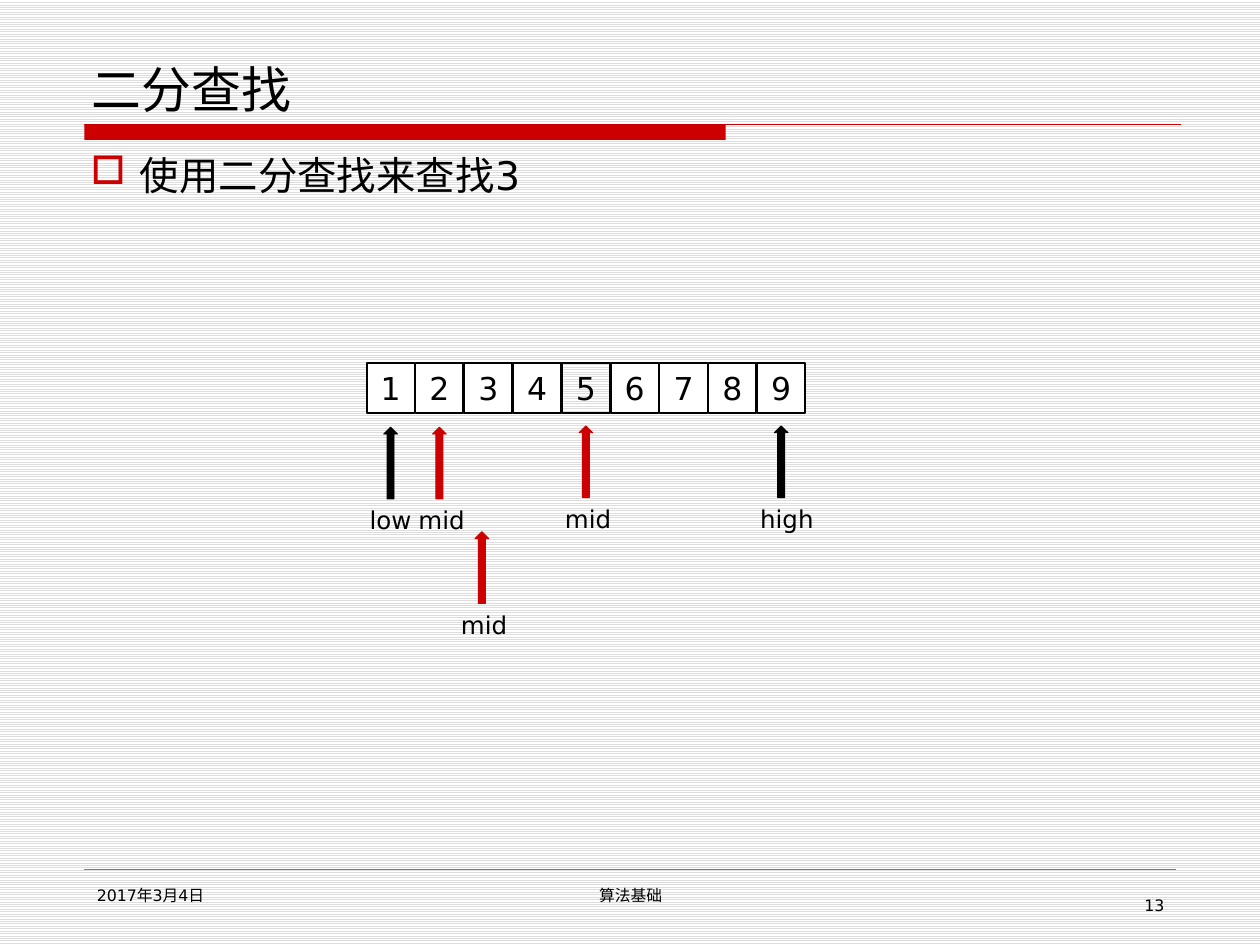
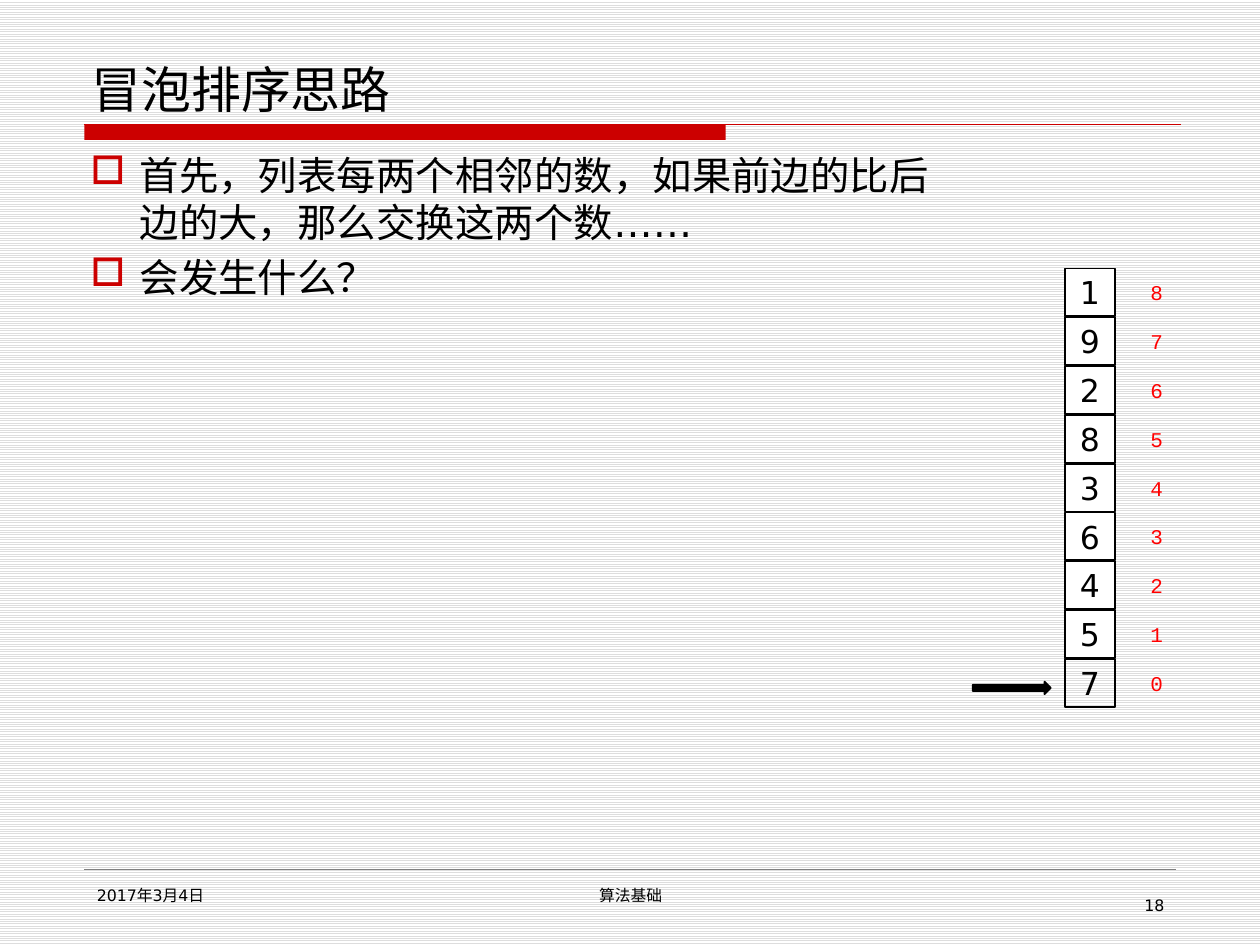
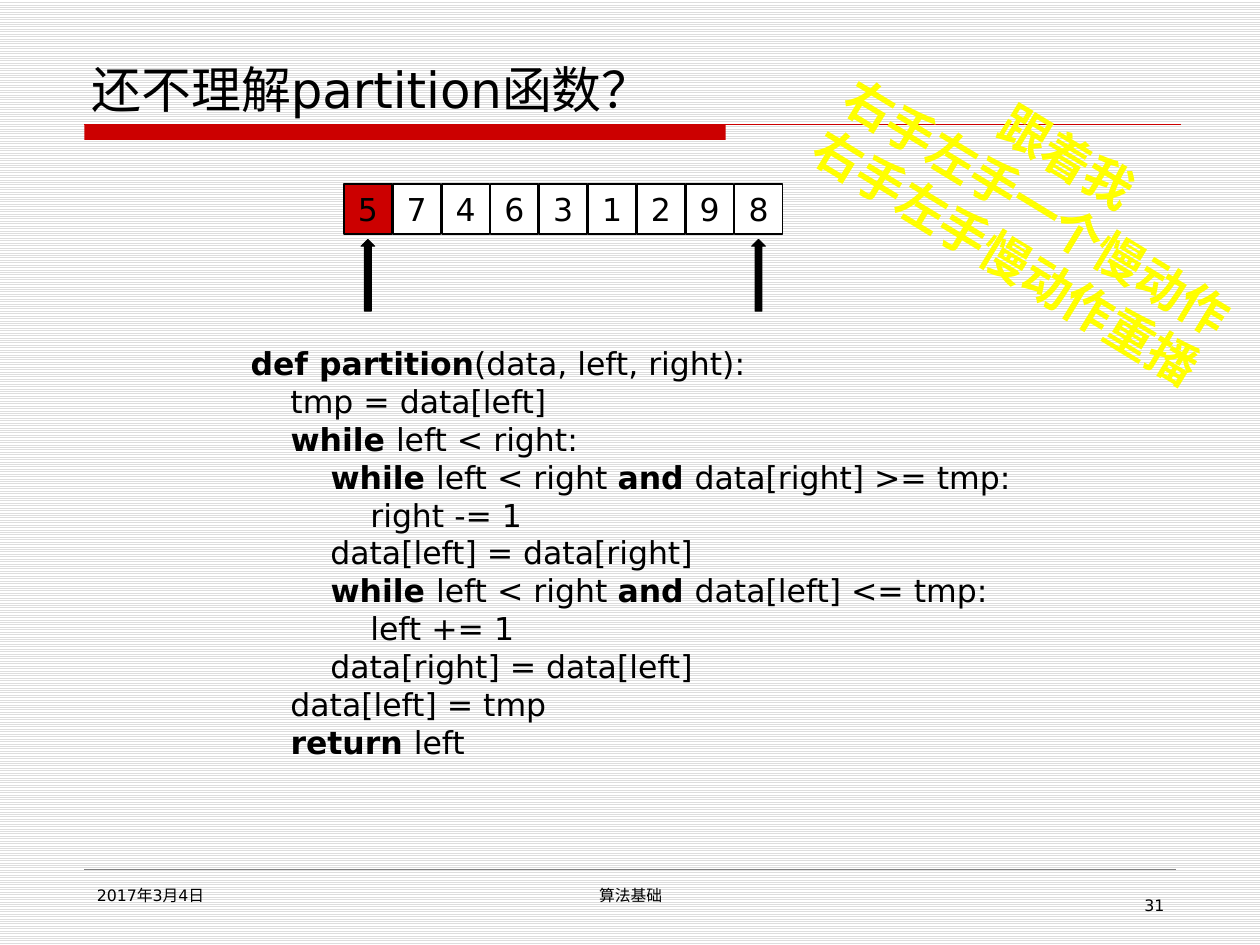
from dataclasses import dataclass

from lxml import etree
from pptx import Presentation
from pptx import util as u
from pptx.dml.color import RGBColor
from pptx.enum import dml, shapes, text
from pptx.oxml import ns


@dataclass(frozen=True)
class Theme:
    font: str = "DejaVu Sans"
    index_font: str = "Courier New"
    black: str = "000000"
    white: str = "FFFFFF"
    accent: str = "CC0000"
    index_red: str = "FF0000"
    yellow: str = "FFFF00"
    stripe: str = "DDDDDD"
    rule: str = "808080"
    title: float = 28.5
    slogan: float = 28
    body: float = 22.5
    cell: float = 18
    label: float = 14
    index: float = 12
    footer: float = 9


THEME = Theme()
CENTER, RIGHT = text.PP_ALIGN.CENTER, text.PP_ALIGN.RIGHT
MIDDLE, BOTTOM = text.MSO_ANCHOR.MIDDLE, text.MSO_ANCHOR.BOTTOM

# Content
DATE, COURSE = "2017年3月4日", "算法基础"

SEARCH_TITLE = "二分查找"
SEARCH_BULLETS = ["使用二分查找来查找3"]
SEARCH_VALUES = [1, 2, 3, 4, 5, 6, 7, 8, 9]
SEARCH_POINTERS = [  # label, label width, position in the list, top, colour
    ("low", 0.53, 0, 3.39, THEME.black),
    ("high", 0.63, 8, 3.38, THEME.black),
    ("mid", 0.58, 4, 3.38, THEME.accent),
    ("mid", 0.58, 1, 3.39, THEME.accent),
    ("mid", 0.58, 1.87, 4.22, THEME.accent),
]

BUBBLE_TITLE = "冒泡排序思路"
BUBBLE_BULLETS = [
    "首先，列表每两个相邻的数，如果前边的比后边的大，那么交换这两个数……",
    "会发生什么？",
]
BUBBLE_VALUES = [1, 9, 2, 8, 3, 6, 4, 5, 7]

PARTITION_TITLE = "还不理解partition函数？"
PARTITION_VALUES = [5, 7, 4, 6, 3, 1, 2, 9, 8]
SLOGAN = ["跟着我", "右手左手一个慢动作", "右手左手慢动作重播"]
# Bold words stand between asterisks
PARTITION_CODE = [
    "*def partition*(data, left, right):",
    "    tmp = data[left]",
    "    *while *left < right:",
    "        *while *left < right *and *data[right] >= tmp:",
    "            right -= 1",
    "        data[left] = data[right]",
    "        *while *left < right *and *data[left] <= tmp:",
    "            left += 1",
    "        data[right] = data[left]",
    "    data[left] = tmp",
    "    *return *left",
]

# Geometry in inches
CELL_SHORT, CELL_LONG = 0.38, 0.4
PITCH = 3.1 / 8
ARROW_WIDTH, ARROW_LENGTH = 0.11, 0.57


def color(value):
    return RGBColor.from_string(value)


def box(left, top, width, height):
    return [u.Inches(value) for value in (left, top, width, height)]


def style_run(run, size, ink=THEME.black, bold=False, font=THEME.font):
    run.font.size = u.Pt(size)
    run.font.name = font
    run.font.bold = bold
    run.font.color.rgb = color(ink)
    east_asian = etree.SubElement(run.font._element, ns.qn("a:ea"))
    east_asian.set("typeface", font)


def write(shape, lines, size, align=None, anchor=None, wrap=True, **style):
    frame = shape.text_frame
    frame.word_wrap = wrap
    frame.vertical_anchor = anchor
    frame.text = "\n".join(lines)
    for paragraph in frame.paragraphs:
        paragraph.alignment = align
        for run in paragraph.runs:
            style_run(run, size, **style)
    return frame


def add_text(slide, place, lines, size, **style):
    textbox = slide.shapes.add_textbox(*box(*place))
    write(textbox, lines, size, **style)
    return textbox


def add_shape(slide, kind, place, fill, line=None, weight=1):
    shape = slide.shapes.add_shape(kind, *box(*place))
    shape.shadow.inherit = False
    if fill:
        shape.fill.solid()
        shape.fill.fore_color.rgb = color(fill)
    else:
        shape.fill.background()
    if line:
        shape.line.color.rgb = color(line)
        shape.line.width = u.Pt(weight)
    else:
        shape.line.fill.background()
    return shape


def add_rule(slide, left, right, y, ink, weight):
    x1, y1, x2, y2 = box(left, y, right, y)
    rule = slide.shapes.add_connector(shapes.MSO_CONNECTOR.STRAIGHT, x1, y1, x2, y2)
    rule.line.color.rgb = color(ink)
    rule.line.width = u.Pt(weight)
    etree.SubElement(rule._element.spPr, ns.qn("a:effectLst"))


def add_frame(presentation, title, number):
    """Add a slide with the shared background, title, bands and footer."""
    slide = presentation.slides.add_slide(presentation.slide_layouts[6])
    background = slide.background.fill
    background.patterned()
    background.pattern = dml.MSO_PATTERN.LIGHT_HORIZONTAL
    background.fore_color.rgb = color(THEME.stripe)
    background.back_color.rgb = color(THEME.white)

    add_shape(slide, shapes.MSO_SHAPE.RECTANGLE, (0.67, 0.99, 5.09, 0.12), THEME.accent)
    add_rule(slide, 0.67, 9.37, 0.99, THEME.accent, 0.75)
    add_rule(slide, 0.67, 9.33, 6.9, THEME.rule, 0.25)
    add_text(slide, (0.63, 0.33, 8.75, 0.66), [title], THEME.title, anchor=BOTTOM)
    add_text(slide, (0.67, 6.98, 2.17, 0.37), [DATE], THEME.footer)
    add_text(slide, (3.42, 6.98, 3.17, 0.37), [COURSE], THEME.footer, align=CENTER)
    add_text(slide, (7.17, 7.06, 2.17, 0.29), [str(number)], THEME.footer, align=RIGHT)
    return slide


def add_bullets(slide, width, lines):
    body = add_text(slide, (0.62, 1.15, width, 5.43), lines, THEME.body)
    for position, paragraph in enumerate(body.text_frame.paragraphs):
        properties = paragraph._p.get_or_add_pPr()
        properties.set("marL", str(u.Inches(0.39)))
        properties.set("indent", str(-u.Inches(0.39)))
        bullet_color = etree.SubElement(properties, ns.qn("a:buClr"))
        etree.SubElement(bullet_color, ns.qn("a:srgbClr")).set("val", THEME.accent)
        etree.SubElement(properties, ns.qn("a:buChar")).set("char", "□")
        if position:
            paragraph.space_before = u.Pt(THEME.body * 0.2)


def add_cells(slide, left, top, values, vertical=False, fills=None, line=THEME.black,
              fill=THEME.white, size=THEME.cell, **style):
    """Lay values out in a row or column; fills overrides single cells."""
    width, height = (CELL_LONG, CELL_SHORT) if vertical else (CELL_SHORT, CELL_LONG)
    for position, value in enumerate(values):
        offset = position * PITCH
        x, y = (left, top + offset) if vertical else (left + offset, top)
        cell = add_shape(slide, shapes.MSO_SHAPE.RECTANGLE, (x, y, width, height),
                         (fills or {}).get(position, fill), line)
        frame = write(cell, [str(value)], size, align=CENTER, anchor=MIDDLE,
                      wrap=False, **style)
        frame.margin_left = frame.margin_right = 0
        frame.margin_top = frame.margin_bottom = 0


def add_pointer(slide, row_left, position, top, ink=THEME.black):
    """Add an up arrow below a cell of a row and return its left edge."""
    left = row_left + position * PITCH + (CELL_SHORT - ARROW_WIDTH) / 2
    add_shape(slide, shapes.MSO_SHAPE.UP_ARROW, (left, top, ARROW_WIDTH, ARROW_LENGTH),
              ink, ink, 0.5)
    return left


def add_code(slide, place, lines):
    code = slide.shapes.add_textbox(*box(*place))
    code.text_frame.word_wrap = True
    paragraph = code.text_frame.paragraphs[0]
    paragraph.line_spacing = u.Pt(21.65)
    for number, line in enumerate(lines):
        if number:
            paragraph.add_line_break()
        for part_number, part in enumerate(line.split("*")):
            if part:
                run = paragraph.add_run()
                run.text = part
                style_run(run, THEME.cell, bold=part_number % 2 == 1)


def build_search(presentation):
    slide = add_frame(presentation, SEARCH_TITLE, 13)
    row_left = 2.91
    add_cells(slide, row_left, 2.88, SEARCH_VALUES, fills={4: None})
    for label, width, position, top, ink in SEARCH_POINTERS:
        left = add_pointer(slide, row_left, position, top, ink)
        add_text(slide, (left - 0.21, top + ARROW_LENGTH, width, 0.34), [label],
                 THEME.label, wrap=False)
    add_bullets(slide, 8.75, SEARCH_BULLETS)


def build_bubble(presentation):
    slide = add_frame(presentation, BUBBLE_TITLE, 18)
    add_bullets(slide, 7.1, BUBBLE_BULLETS)
    column_top = 2.13
    add_cells(slide, 8.45, column_top, BUBBLE_VALUES, vertical=True, fills={8: None})
    add_cells(slide, 8.98, column_top, reversed(range(9)), vertical=True, fill=None,
              line=None, size=THEME.index, ink=THEME.index_red, font=THEME.index_font)
    add_shape(slide, shapes.MSO_SHAPE.RIGHT_ARROW, (7.72, 5.41, 0.62, 0.1),
              THEME.black, THEME.black)


def build_partition(presentation):
    slide = add_frame(presentation, PARTITION_TITLE, 31)
    add_code(slide, (1.89, 2.68, 6.44, 3.44), PARTITION_CODE)
    row_left = 2.73
    add_cells(slide, row_left, 1.46, PARTITION_VALUES, fills={0: THEME.accent})
    for position in (8, 0):
        add_pointer(slide, row_left, position, 1.9)
    slogan = add_text(slide, (6.36, 0.89, 3.74, 1.51), SLOGAN, THEME.slogan,
                      align=CENTER, wrap=False, ink=THEME.yellow, bold=True)
    slogan.rotation = 31.4


def main():
    presentation = Presentation()
    presentation.slide_width = u.Inches(10)
    presentation.slide_height = u.Inches(7.5)
    build_search(presentation)
    build_bubble(presentation)
    build_partition(presentation)
    presentation.save("out.pptx")


if __name__ == "__main__":
    main()
